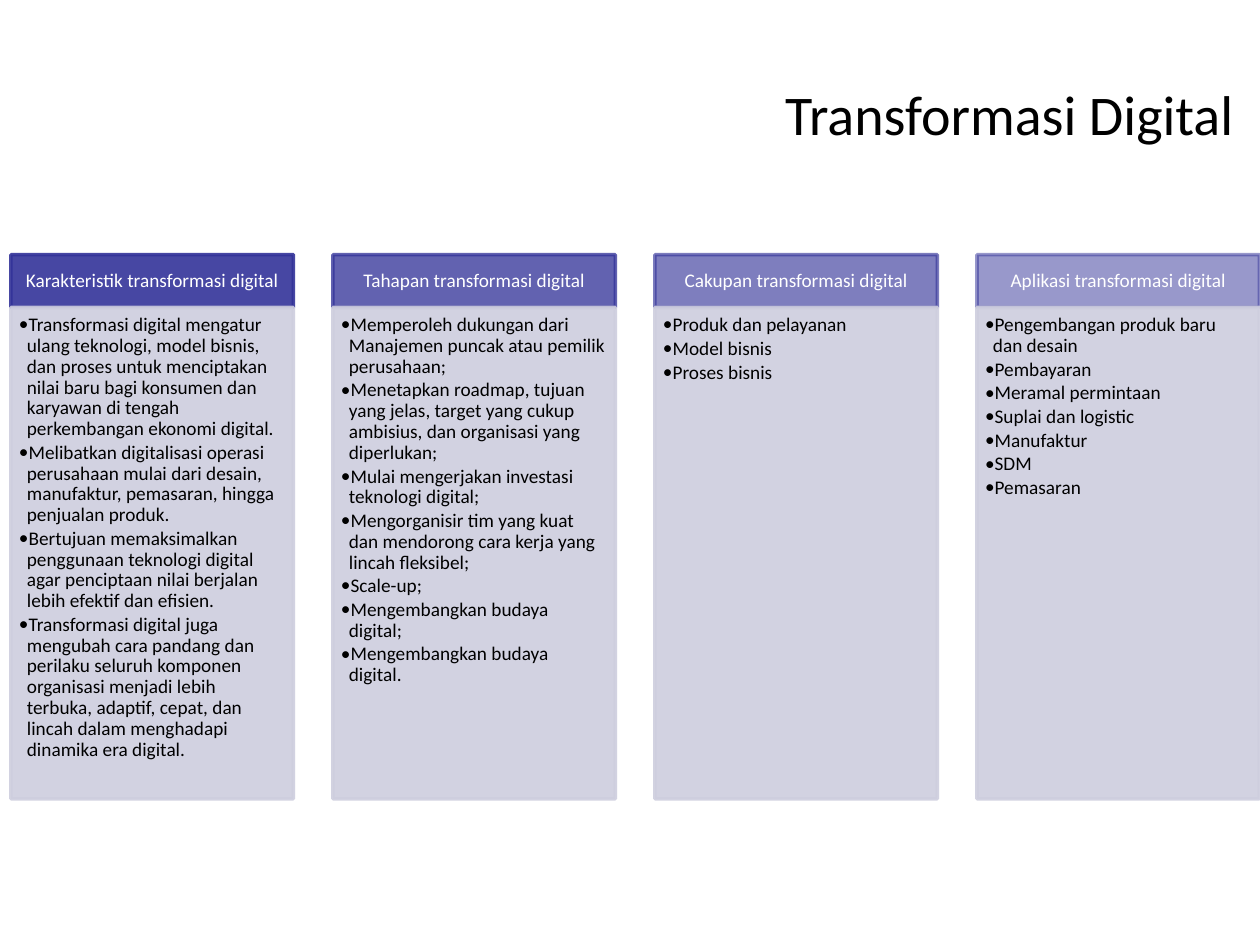
from lxml import etree
from pptx import Presentation
from pptx.dml.color import RGBColor
from pptx.enum import shapes, text
from pptx.oxml.ns import qn
from pptx.util import Pt

FONT = "Calibri"
BLACK = RGBColor(0x00, 0x00, 0x00)
WHITE = RGBColor(0xFF, 0xFF, 0xFF)
INDIGO = RGBColor(0x33, 0x33, 0x99)
LILAC = RGBColor(0xCE, 0xCE, 0xDE)

# Heading, opacity of its bar in percent, points
COLUMNS = [
    ("Karakteristik transformasi digital", 90, [
        "Transformasi digital mengatur ulang teknologi, model bisnis, dan proses untuk "
        "menciptakan nilai baru bagi konsumen dan karyawan di tengah perkembangan "
        "ekonomi digital.",
        "Melibatkan digitalisasi operasi perusahaan mulai dari desain, manufaktur, "
        "pemasaran, hingga penjualan produk.",
        "Bertujuan memaksimalkan penggunaan teknologi digital agar penciptaan nilai "
        "berjalan lebih efektif dan efisien.",
        "Transformasi digital juga mengubah cara pandang dan perilaku seluruh komponen "
        "organisasi menjadi lebih terbuka, adaptif, cepat, dan lincah dalam menghadapi "
        "dinamika era digital.",
    ]),
    ("Tahapan transformasi digital", 77, [
        "Memperoleh dukungan dari Manajemen puncak atau pemilik perusahaan;",
        "Menetapkan roadmap, tujuan yang jelas, target yang cukup ambisius, dan "
        "organisasi yang diperlukan;",
        "Mulai mengerjakan investasi teknologi digital;",
        "Mengorganisir tim yang kuat dan mendorong cara kerja yang lincah fleksibel;",
        "Scale-up;",
        "Mengembangkan budaya digital;",
        "Mengembangkan budaya digital.",
    ]),
    ("Cakupan transformasi digital", 63, [
        "Produk dan pelayanan",
        "Model bisnis",
        "Proses bisnis",
    ]),
    ("Aplikasi transformasi digital", 50, [
        "Pengembangan produk baru dan desain",
        "Pembayaran",
        "Meramal permintaan",
        "Suplai dan logistic",
        "Manufaktur",
        "SDM",
        "Pemasaran",
    ]),
]


def write(shape, lines, size=11, color=BLACK, align=text.PP_ALIGN.LEFT,
          anchor=text.MSO_ANCHOR.TOP, inset=(0, 0, 0, 0), spacing=0.9,
          after=0, bullet=False):
    """Fill a shape with paragraphs; inset is left, top, right, bottom."""
    frame = shape.text_frame
    frame.word_wrap = True
    frame.vertical_anchor = anchor
    frame.margin_left, frame.margin_top, frame.margin_right, frame.margin_bottom = map(Pt, inset)
    for i, line in enumerate(lines):
        para = frame.paragraphs[0] if i == 0 else frame.add_paragraph()
        para.text = line
        para.alignment = align
        para.line_spacing = spacing
        para.space_after = Pt(after)
        if bullet:
            props = para._p.get_or_add_pPr()
            props.set("marL", str(Pt(4.5)))
            props.set("indent", str(Pt(-4.5)))
            etree.SubElement(props, qn("a:buFont"), typeface=FONT)
            etree.SubElement(props, qn("a:buChar"), char="•")
        para.font.name = FONT
        para.font.size = Pt(size)
        para.font.color.rgb = color


def panel(slide, box, color, alpha):
    """Draw a rectangle whose fill and line share a colour and an opacity."""
    shape = slide.shapes.add_shape(shapes.MSO_SHAPE.RECTANGLE, *map(Pt, box))
    shape.shadow.inherit = False
    shape.line.width = Pt(2)
    for fill in (shape.fill, shape.line.fill):
        fill.solid()
        fill.fore_color.rgb = color
    for tone in shape._element.spPr.iter(qn("a:srgbClr")):
        etree.SubElement(tone, qn("a:alpha"), val=str(alpha * 1000))
    return shape


def title(slide, box):
    label = slide.shapes.add_textbox(*map(Pt, box))
    write(label, ["Transformasi Digital"], size=32, align=text.PP_ALIGN.RIGHT,
          anchor=text.MSO_ANCHOR.MIDDLE, inset=(3, 3, 3, 3), spacing=1.0)


def column(slide, box, head, alpha, points):
    left, top, width, height = box
    bar = 30.2

    # Heading bar
    cap = panel(slide, (left, top, width, bar), INDIGO, alpha)
    write(cap, [head], color=WHITE, align=text.PP_ALIGN.CENTER,
          anchor=text.MSO_ANCHOR.MIDDLE, inset=(6.2, 3.5, 6.2, 3.5))

    # Bulleted body
    body = panel(slide, (left, top + bar, width, height - bar), LILAC, 90)
    write(body, points, inset=(4.6, 4.4, 5.8, 7), after=1.65, bullet=True)


def columns(slide, box):
    left, top, width, height = box
    wide = 161.4
    step = (width - wide) / (len(COLUMNS) - 1)
    for i, (head, alpha, points) in enumerate(COLUMNS):
        column(slide, (left + i * step, top, wide, height), head, alpha, points)


def main():
    deck = Presentation()
    deck.slide_width, deck.slide_height = Pt(720), Pt(540)
    slide = deck.slides.add_slide(deck.slide_layouts[6])
    title(slide, (180, 14.4, 528, 100))
    columns(slide, (6.3, 145.5, 713.4, 311))
    deck.save("out.pptx")


if __name__ == "__main__":
    main()
